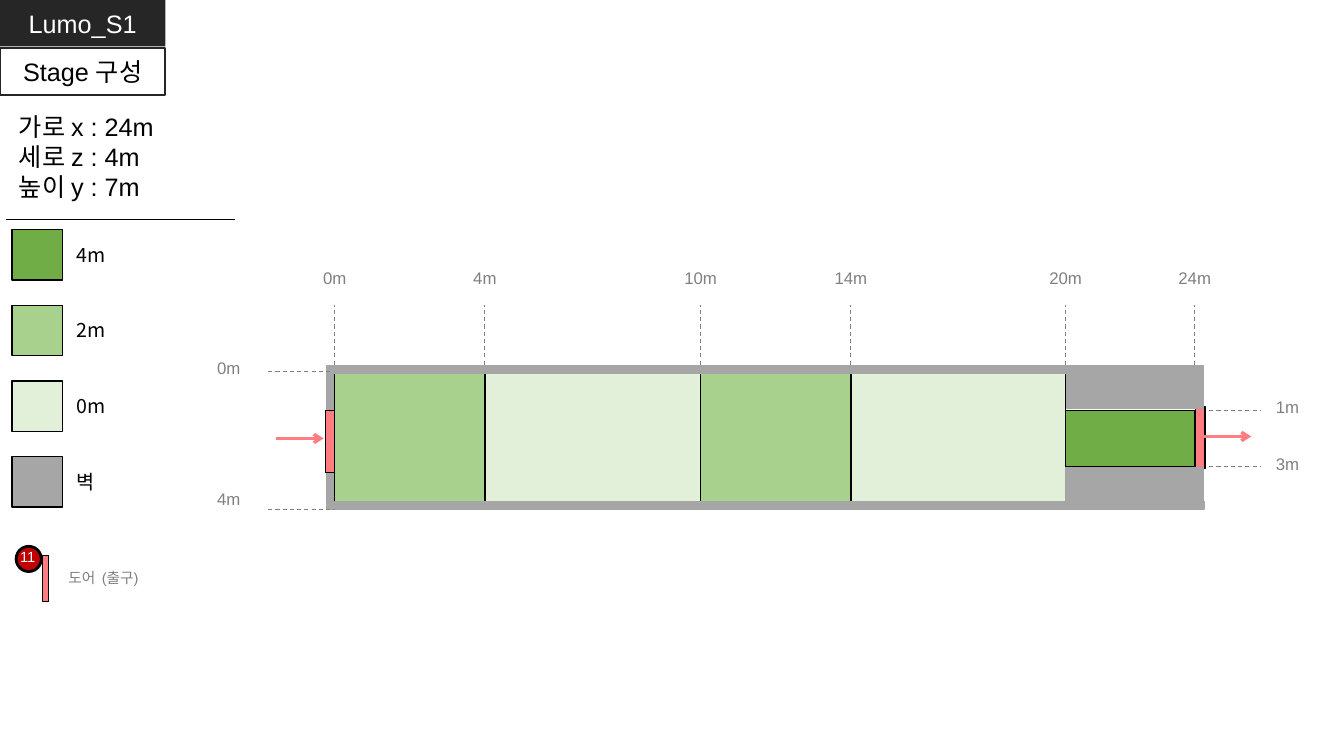
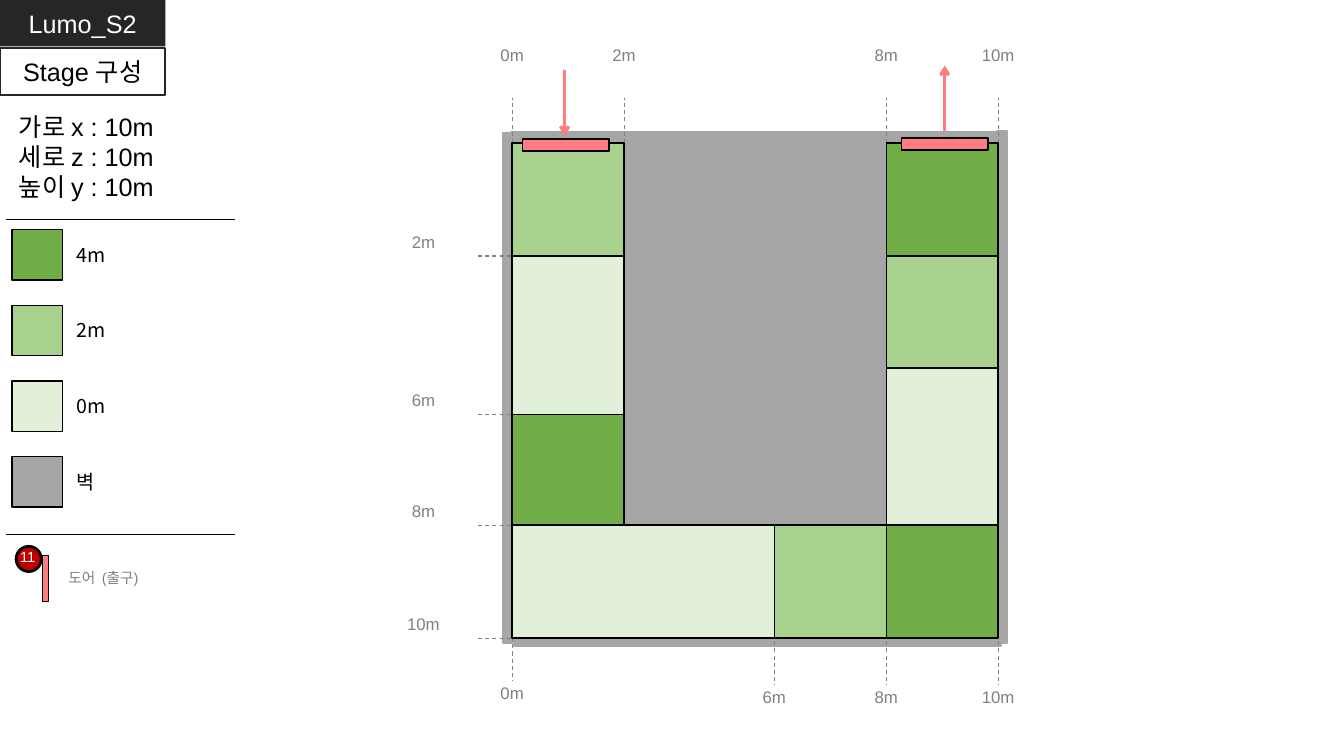
import pptx
import pptx.util
import pptx.dml.color
import pptx.enum.dml
import pptx.enum.shapes
import pptx.enum.text
import lxml.etree

Inches = pptx.util.Inches
Pt = pptx.util.Pt
SHAPE = pptx.enum.shapes.MSO_SHAPE
ALIGN = pptx.enum.text.PP_ALIGN

INK, PAPER, DARK = "000000", "FFFFFF", "262626"
GUIDE, WALL, DOOR, BADGE = "808080", "A6A6A6", "FF7C80", "C00000"
HEIGHTS = {4: "70AD47", 2: "A9D18E", 0: "E2F0D9"}
LATIN, KOREAN = "Arial", "Noto Sans CJK KR"


def color(value):
    return pptx.dml.color.RGBColor.from_string(value)


def write(sp, lines, size, ink, font=LATIN, align=ALIGN.LEFT, anchor="TOP", wrap=True):
    tf = sp.text_frame
    tf.word_wrap = wrap
    tf.vertical_anchor = getattr(pptx.enum.text.MSO_ANCHOR, anchor)
    for i, line in enumerate(lines):
        p = tf.add_paragraph() if i else tf.paragraphs[0]
        p.alignment = align
        r = p.add_run()
        r.text = line
        r.font.size = Pt(size)
        r.font.color.rgb = color(ink)
        r.font.name = font
        ea = lxml.etree.SubElement(r._r.get_or_add_rPr(), pptx.oxml.ns.qn("a:ea"))
        ea.set("typeface", KOREAN)


def add_text(s, left, top, width, height, lines, size, ink, **style):
    sp = s.shapes.add_textbox(Inches(left), Inches(top), Inches(width), Inches(height))
    write(sp, lines, size, ink, **style)


def add_block(s, left, top, width, height, fill, line=INK, weight=1, kind=SHAPE.RECTANGLE):
    sp = s.shapes.add_shape(kind, Inches(left), Inches(top), Inches(width), Inches(height))
    sp.shadow.inherit = False
    sp.fill.solid()
    sp.fill.fore_color.rgb = color(fill)
    if line:
        sp.line.color.rgb = color(line)
        sp.line.width = Pt(weight)
    else:
        sp.line.fill.background()
    return sp


def add_line(s, x1, y1, x2, y2, ink=INK, weight=1, dash=False, arrow=False):
    sp = s.shapes.add_connector(
        pptx.enum.shapes.MSO_CONNECTOR.STRAIGHT,
        Inches(x1), Inches(y1), Inches(x2), Inches(y2))
    sp.line.color.rgb = color(ink)
    sp.line.width = Pt(weight)
    if dash:
        sp.line.dash_style = pptx.enum.dml.MSO_LINE.DASH
    if arrow:
        tail = lxml.etree.SubElement(sp.line._get_or_add_ln(), pptx.oxml.ns.qn("a:tailEnd"))
        tail.set("type", "arrow")
    lxml.etree.SubElement(sp._element.spPr, pptx.oxml.ns.qn("a:effectLst"))


def add_header(s, left, top, stage):
    width, height = 1.64, 0.46
    name = add_block(s, left, top, width, height, DARK, None)
    write(name, [stage], 18, PAPER, align=ALIGN.CENTER, anchor="MIDDLE")
    part = add_block(s, left, top + 0.48, width, height, PAPER, DARK, 1.5)
    write(part, ["Stage 구성"], 18, INK, align=ALIGN.CENTER, anchor="MIDDLE")


def add_legend(s, left, top, size):
    lines = [f"{label} : {value}m" for label, value in zip(("가로 x", "세로 z", "높이 y"), size)]
    add_text(s, left + 0.03, top, 2.2, 1.01, lines, 18, INK)
    add_line(s, left, top + 1.13, left + 2.27, top + 1.13)
    swatches = [(f"{height}m", fill) for height, fill in HEIGHTS.items()] + [("벽", WALL)]
    for i, (label, fill) in enumerate(swatches):
        y = top + 1.23 + i * 0.75
        add_block(s, left + 0.06, y, 0.5, 0.5, fill)
        add_text(s, left + 0.6, y + 0.08, 0.71, 0.33, [label], 14, INK, font=KOREAN)


def add_door_key(s, left, top):
    add_text(s, left + 0.49, top + 0.2, 1.58, 0.28, ["도어  (출구)"], 10.5, GUIDE)
    add_block(s, left + 0.07, top + 0.03, 0.25, 0.25, BADGE, INK, 2, SHAPE.OVAL)
    add_text(s, left, top, 0.37, 0.28, ["11"], 10.5, PAPER, align=ALIGN.CENTER, wrap=False)
    add_block(s, left + 0.33, top + 0.12, 0.06, 0.46, DOOR)


def add_mark(s, metres, x, y):
    width, height = 0.9, 0.3
    add_text(s, x - width / 2, y - height / 2, width, height,
             [f"{metres}m"], 12, GUIDE, align=ALIGN.CENTER)


def add_columns(s, box, xs, marks, start, end, label):
    left, top = box
    for m in marks:
        x = left + xs[m]
        add_line(s, x, top + start, x, top + end, GUIDE, 0.75, dash=True)
        add_mark(s, m, x, top + label)


def add_rows(s, box, zs, marks, start, end, label, rise):
    left, top = box
    for m in marks:
        y = top + zs[m]
        add_line(s, left + start, y, left + end, y, GUIDE, 0.75, dash=True)
        add_mark(s, m, left + label, y - rise)


def add_zones(s, box, xs, zs, zones):
    left, top = box
    for x1, x2, z1, z2, height in zones:
        add_block(s, left + xs[x1], top + zs[z1], xs[x2] - xs[x1], zs[z2] - zs[z1],
                  HEIGHTS[height])


def add_walls(s, box, walls):
    left, top = box
    for x, y, width, height in walls:
        add_block(s, left + x, top + y, width, height, WALL, WALL)


def add_door(s, box, door, arrow):
    left, top = box
    x, y, width, height = door
    add_block(s, left + x, top + y, width, height, DOOR)
    x1, y1, x2, y2 = arrow
    add_line(s, left + x1, top + y1, left + x2, top + y2, DOOR, 2.25, arrow=True)


def add_stage(prs, stage, size):
    s = prs.slides.add_slide(prs.slide_layouts[6])
    add_header(s, 0, 0, stage)
    add_legend(s, 0.06, 1.05, size)
    add_door_key(s, 0.09, 5.39)
    return s


def draw_corridor(s, box):
    xs = {0: 0, 4: 1.49, 10: 3.63, 14: 5.12, 20: 7.25, 24: 8.53}
    zs = {0: 0, 1: 0.38, 3: 0.94, 4: 1.36}
    add_walls(s, box, [(-0.08, -0.06, 0.09, 1.42)])
    add_columns(s, box, xs, xs, 0, -0.66, -0.93)
    add_rows(s, box, zs, (1, 3), 8.53, 9.18, 9.45, 0.03)
    for m, rise in ((0, 0.04), (4, 0.1)):
        add_rows(s, box, zs, [m], -0.66, 0, -1.05, rise)
    add_zones(s, box, xs, zs, [
        (0, 4, 0, 4, 2), (4, 10, 0, 4, 0), (10, 14, 0, 4, 2),
        (14, 20, 0, 4, 0), (20, 24, 1, 3, 4)])
    add_door(s, box, (8.54, 0.34, 0.09, 0.62), (8.62, 0.64, 9.09, 0.64))
    add_walls(s, box, [
        (7.25, 0.95, 1.37, 0.4), (7.26, -0.01, 1.36, 0.37),
        (0, 1.29, 8.63, 0.07), (-0.02, -0.06, 8.64, 0.07)])
    add_door(s, box, (-0.09, 0.38, 0.09, 0.62), (-0.58, 0.66, -0.11, 0.66))


def draw_court(s, box):
    xs = {0: 0, 2: 1.11, 6: 2.6, 8: 3.71, 10: 4.82}
    zs = {0: 0, 2: 1.12, 4: 2.23, 6: 2.69, 8: 3.79, 10: 4.91}
    add_walls(s, box, [
        (1.11, 0.01, 2.61, 3.78), (0.02, 4.89, 4.83, 0.1), (-0.09, -0.1, 0.09, 5.06),
        (4.81, -0.12, 0.1, 5.08), (-0.01, -0.11, 4.83, 0.18)])
    add_columns(s, box, xs, (0, 2, 8, 10), 0, -0.45, -0.88)
    add_columns(s, box, xs, [0], 4.9, 5.34, 5.45)
    add_columns(s, box, xs, (6, 8, 10), 4.94, 5.38, 5.49)
    add_rows(s, box, zs, (2, 6, 8, 10), -0.34, 0, -0.88, 0.14)
    add_zones(s, box, xs, zs, [
        (0, 2, 0, 2, 2), (0, 2, 2, 6, 0), (0, 2, 6, 8, 4),
        (0, 6, 8, 10, 0), (6, 8, 8, 10, 2), (8, 10, 8, 10, 4),
        (8, 10, 4, 8, 0), (8, 10, 2, 4, 2), (8, 10, 0, 2, 4)])
    add_door(s, box, (0.1, -0.04, 0.86, 0.12), (0.52, -0.73, 0.52, -0.07))
    add_door(s, box, (3.86, -0.05, 0.86, 0.12), (4.29, -0.11, 4.29, -0.77))


prs = pptx.Presentation()
prs.slide_width = Inches(13.33)
prs.slide_height = Inches(7.5)

corridor = add_stage(prs, "Lumo_S1", (24, 4, 7))
draw_corridor(corridor, (3.32, 3.69))

court = add_stage(prs, "Lumo_S2", (10, 10, 10))
add_line(court, 0.06, 5.3, 2.33, 5.3)
draw_court(court, (5.08, 1.42))

prs.save("out.pptx")
